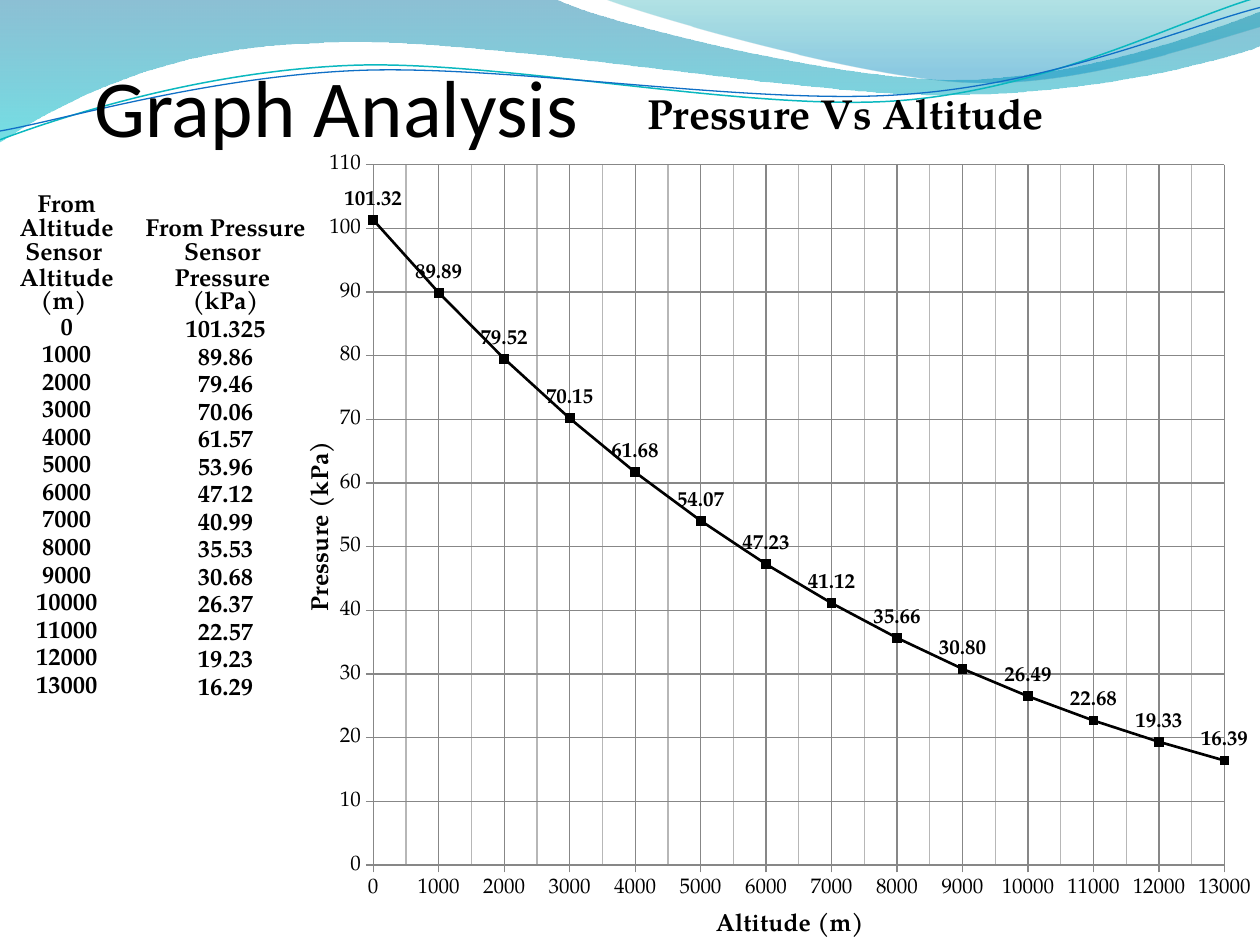
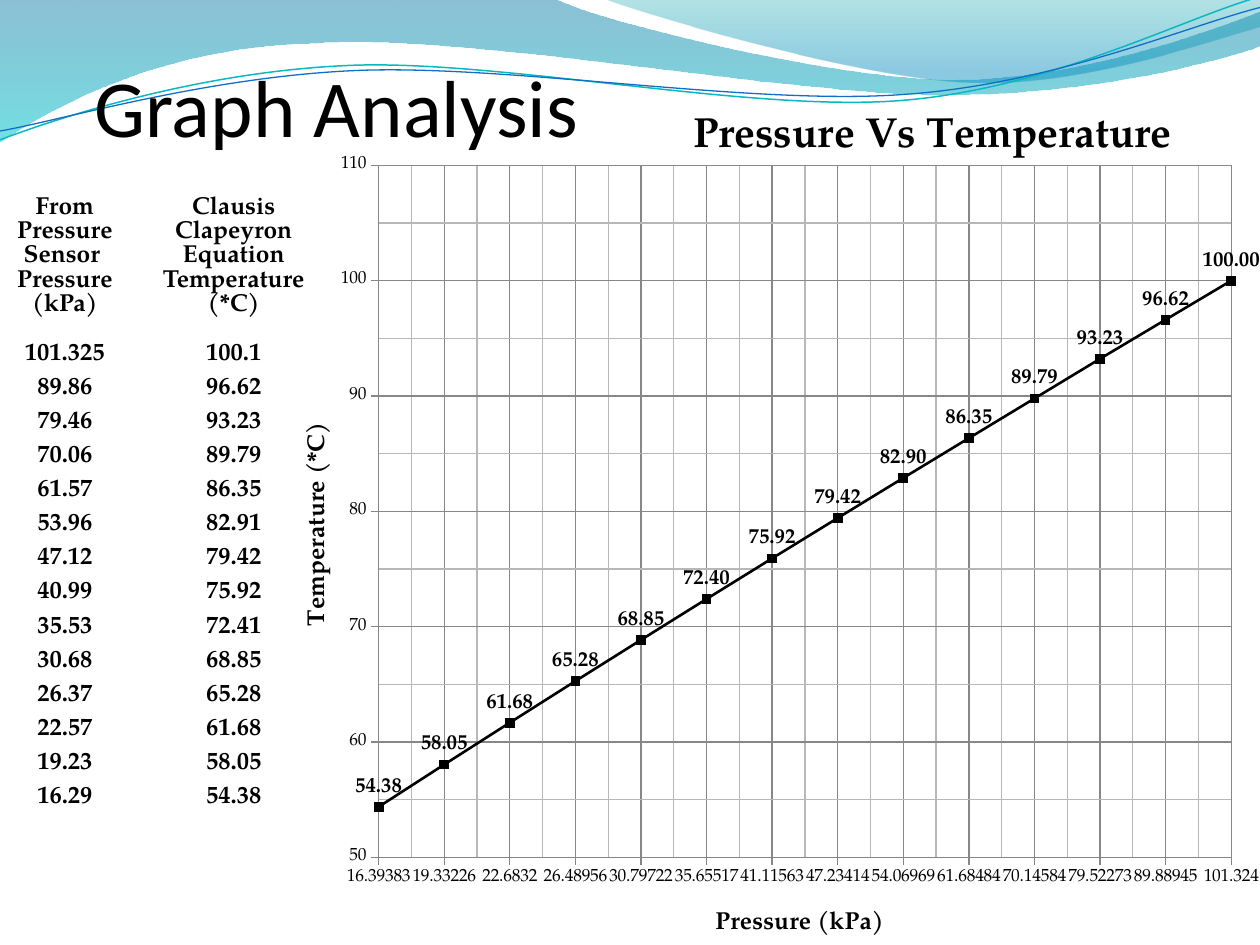
from dataclasses import dataclass
from math import cos, radians, sin

from lxml import etree
from pptx import Presentation
from pptx.chart.data import CategoryChartData
from pptx.dml.color import RGBColor
from pptx.enum.chart import XL_CHART_TYPE, XL_LABEL_POSITION, XL_MARKER_STYLE, XL_TICK_MARK
from pptx.enum.text import MSO_ANCHOR, PP_ALIGN
from pptx.oxml import parse_xml
from pptx.oxml.ns import nsdecls, qn
from pptx.util import Inches, Pt

LINE_MARKERS = XL_CHART_TYPE.LINE_MARKERS
ABOVE = XL_LABEL_POSITION.ABOVE
SQUARE = XL_MARKER_STYLE.SQUARE
OUTSIDE = XL_TICK_MARK.OUTSIDE
TOP, BOTTOM = MSO_ANCHOR.TOP, MSO_ANCHOR.BOTTOM
CENTER = PP_ALIGN.CENTER


@dataclass(frozen=True)
class Theme:
    ink: RGBColor = RGBColor(0, 0, 0)
    title_font: str = "Calibri"
    body_font: str = "TeX Gyre Pagella"
    title: float = 46.2
    chart_title: float = 24
    body: float = 14
    label: float = 12
    small: float = 10


theme = Theme()

# Each wave is a start point and its segments: 2 numbers for a line, 6 for a Bézier curve.
# Gradient stops are (position, colour, opacity in percent).
BANDS = [
    ((0, 0),
     [(4.4, -0.01), (4.76, 0.17, 6.64, 0.63, 7.58, 0.63), (8.53, 0.63, 9.58, 0.26, 10, 0.09),
      (10.01, 0.36), (9.83, 0.44, 8.7, 0.76, 7.46, 0.75), (6.22, 0.75, 3.82, 0.28, 2.57, 0.34),
      (1.29, 0.36, 0.46, 0.83, -0.01, 1.13), (0, 0)],
     [(0, "0074A1", 45), (1, "00C6CF", 55)]),
    ((4.79, -0.01),
     [(5.09, 0.11, 6.82, 0.62, 7.69, 0.65), (8.56, 0.69, 9.61, 0.32, 10, 0.21), (10, 0),
      (4.79, -0.01)],
     [(0, "00A1A9", 30), (0.8, "008BBF", 45)]),
]
WAVE_LINES = [
    ((0, 1.11),
     [(0.48, 0.93, 1.58, 0.57, 2.77, 0.52), (3.95, 0.47, 5.93, 0.89, 7.13, 0.8),
      (8.33, 0.71, 9.38, 0.15, 9.98, -0.02)], "0AB8BF", 0.85),
    ((0, 1.04),
     [(0.47, 0.96, 1.64, 0.61, 2.83, 0.56), (4.03, 0.51, 5.97, 0.84, 7.17, 0.75),
      (8.36, 0.67, 9.41, 0.21, 10, 0.06)], "0F6FC6", 0.75),
]
WAVE_TILT = 2.7
WAVE_CENTER = (5, 0.58)

PRESSURES = ["101.325", "89.86", "79.46", "70.06", "61.57", "53.96", "47.12",
             "40.99", "35.53", "30.68", "26.37", "22.57", "19.23", "16.29"]
ALTITUDES = [1000 * i for i in range(14)]
TEMPERATURES = ["100.1", "96.62", "93.23", "89.79", "86.35", "82.91", "79.42",
                "75.92", "72.41", "68.85", "65.28", "61.68", "58.05", "54.38"]

SLIDES = [
    dict(
        chart_title="Pressure Vs Altitude", chart_box=(2.4, 0.68, 7.6, 6.82),
        title_at=(0.352, 0.001), y_title_at=None, plot_at=(0.074, 0.092, 0.889, 0.815),
        x_title="Altitude (m)", y_title="Pressure (kPa)", y_min=0, y_minor_grid=False,
        tick_size=theme.label, categories=ALTITUDES,
        values=[101.32, 89.89, 79.52, 70.15, 61.68, 54.07, 47.23,
                41.12, 35.66, 30.8, 26.49, 22.68, 19.33, 16.39],
        table_at=(0, 1.39), col_widths=(1.06, 1.46), head_heights=(0.73, 0.23),
        body_height=3.06, anchors=(TOP, BOTTOM),
        heads=[("From Altitude\nSensor ", "From Pressure Sensor "),
               ("Altitude (m) ", "Pressure \n(kPa)")],
        columns=(ALTITUDES, PRESSURES)),
    dict(
        chart_title="Pressure Vs Temperature", chart_box=(2.32, 0.76, 7.68, 6.74),
        title_at=(0.41, 0.01), y_title_at=(0.007, 0.377), plot_at=(0.09, 0.082, 0.889, 0.815),
        x_title="Pressure (kPa)", y_title="Temperature (*C)", y_min=50, y_minor_grid=True,
        tick_size=theme.small,
        categories=[16.39383, 19.33226, 22.6832, 26.48956, 30.79722, 35.65517, 41.11563,
                    47.23414, 54.06969, 61.68484, 70.14584, 79.52273, 89.88945, 101.324],
        values=[54.38, 58.05, 61.68, 65.28, 68.85, 72.4, 75.92,
                79.42, 82.9, 86.35, 89.79, 93.23, 96.62, 100],
        table_at=(0, 1.23), col_widths=(1.03, 1.65), head_heights=(0.9, 0.51),
        body_height=3.79, anchors=(BOTTOM, BOTTOM),
        heads=[("From Pressure Sensor ", "Clausis Clapeyron Equation"),
               ("Pressure (kPa)", "Temperature\n(*C)")],
        columns=(PRESSURES, TEMPERATURES)),
]


def add_wave(shapes, start, segments, close, tilt=0):
    """Draw an outline given in slide inches, as a shape turned back by tilt degrees."""
    numbers = [*start, *(n for seg in segments for n in seg)]
    cx, cy = WAVE_CENTER
    c, sn = cos(radians(tilt)), sin(radians(tilt))
    points = [(Inches(cx + (x - cx) * c - (y - cy) * sn), Inches(cy + (x - cx) * sn + (y - cy) * c))
              for x, y in zip(numbers[::2], numbers[1::2])]
    builder = shapes.build_freeform(*points[0])
    builder.add_line_segments(points[1:], close=close)
    s = builder.convert_to_shape()
    s.shadow.inherit = False
    s.rotation = -tilt % 360
    steps = iter(list(s._element.iter(qn("a:lnTo"))))
    for seg in segments:
        group = [next(steps) for _ in range(len(seg) // 2)]
        if len(group) == 3:
            curve = etree.Element(qn("a:cubicBezTo"))
            group[0].addprevious(curve)
            for step in group:
                curve.append(step[0])
                step.getparent().remove(step)
    return s


def set_layout(parent, index, inner=False, **place):
    """Pin a chart part at fractions x, y (and w, h) of the chart."""
    for old in parent.findall(qn("c:layout")):
        parent.remove(old)
    layout = parse_xml(f"<c:layout {nsdecls('c')}><c:manualLayout/></c:layout>")
    manual = layout[0]
    settings = [("layoutTarget", "inner")] if inner else []
    settings += [("xMode", "edge"), ("yMode", "edge"), *place.items()]
    for tag, value in settings:
        etree.SubElement(manual, qn(f"c:{tag}")).set("val", str(value))
    parent.insert(index, layout)


prs = Presentation()
prs.slide_width, prs.slide_height = Inches(10), Inches(7.5)

for data in SLIDES:
    shapes = prs.slides.add_slide(prs.slide_layouts[6]).shapes

    # Wave header
    for start, segments, stops in BANDS:
        s = add_wave(shapes, start, segments, True)
        s.line.fill.background()
        s.fill.gradient()
        s.fill.gradient_angle = 270
        for stop, (position, color, opacity) in zip(s.fill.gradient_stops, stops):
            stop.position = position
            stop.color.rgb = RGBColor.from_string(color)
        for clr, (_, _, opacity) in zip(s._element.spPr.iter(qn("a:srgbClr")), stops):
            etree.SubElement(clr, qn("a:alpha")).set("val", str(opacity * 1000))
    for start, segments, color, width in WAVE_LINES:
        s = add_wave(shapes, start, segments, False, WAVE_TILT)
        s.fill.background()
        s.line.color.rgb = RGBColor.from_string(color)
        s.line.width = Pt(width)

    # Chart
    chart_data = CategoryChartData()
    chart_data.categories = data["categories"]
    chart_data.add_series("Series 1", data["values"])
    chart = shapes.add_chart(LINE_MARKERS, *map(Inches, data["chart_box"]), chart_data).chart
    chart.has_legend = False
    chart.font.name = theme.body_font
    chart.font.size = Pt(theme.small)
    chart.font.color.rgb = theme.ink

    chart.has_title = True
    x_axis, y_axis = chart.category_axis, chart.value_axis
    for owner, text, size in ((chart.chart_title, data["chart_title"], theme.chart_title),
                              (x_axis.axis_title, data["x_title"], theme.body),
                              (y_axis.axis_title, data["y_title"], theme.body)):
        owner.text_frame.text = text
        font = owner.text_frame.paragraphs[0].runs[0].font
        font.name, font.size, font.bold = theme.body_font, Pt(size), True
        font.color.rgb = theme.ink
    title = chart.chart_title._element
    title.find(qn("c:overlay")).set("val", "1")
    set_layout(title, 1, **dict(zip("xy", data["title_at"])))
    if data["y_title_at"]:
        set_layout(y_axis.axis_title._element, 1, **dict(zip("xy", data["y_title_at"])))

    for axis, minor_grid in ((x_axis, True), (y_axis, data["y_minor_grid"])):
        axis.major_tick_mark = OUTSIDE
        axis.has_major_gridlines = True
        axis.has_minor_gridlines = minor_grid
        axis.tick_labels.font.size = Pt(data["tick_size"])
        axis.tick_labels.font.name = theme.body_font
        axis.tick_labels.font.color.rgb = theme.ink
    y_axis.minimum_scale, y_axis.maximum_scale = data["y_min"], 110
    y_axis.major_unit, y_axis.minor_unit = 10, 5
    val_ax = y_axis._element
    for old in val_ax.findall(qn("c:crossBetween")):
        val_ax.remove(old)
    val_ax.find(qn("c:crosses")).addnext(
        parse_xml(f'<c:crossBetween {nsdecls("c")} val="midCat"/>'))

    plot = chart.plots[0]
    plot.vary_by_categories = False
    series = plot.series[0]
    series.smooth = False
    series.format.line.color.rgb = theme.ink
    series.format.line.width = Pt(1.5)
    series.marker.style, series.marker.size = SQUARE, 5
    series.marker.format.fill.solid()
    series.marker.format.fill.fore_color.rgb = theme.ink
    series.marker.format.line.color.rgb = theme.ink
    labels = series.data_labels
    labels.show_value, labels.position = True, ABOVE
    labels.number_format, labels.number_format_is_linked = "#,##0.00", False
    labels.font.name, labels.font.size, labels.font.bold = theme.body_font, Pt(theme.label), True
    labels.font.color.rgb = theme.ink

    chart_part = chart._chartSpace.find(qn("c:chart"))
    plot_area = chart_part.find(qn("c:plotArea"))
    set_layout(plot_area, 0, inner=True, **dict(zip("xywh", data["plot_at"])))
    no_fill = (f'<c:spPr {nsdecls("c", "a")}><a:noFill/>'
               '<a:ln><a:noFill/></a:ln></c:spPr>')
    plot_area.append(parse_xml(no_fill))
    chart_part.addnext(parse_xml(no_fill))

    # Readings table
    rows = data["heads"] + list(zip(*data["columns"]))
    row_height = data["body_height"] / len(PRESSURES)
    heights = [*data["head_heights"]] + [row_height] * len(PRESSURES)
    table = shapes.add_table(len(rows), 2, *map(Inches, data["table_at"]),
                             Inches(sum(data["col_widths"])), Inches(sum(heights))).table
    table.first_row = table.horz_banding = False
    for column, width in zip(table.columns, data["col_widths"]):
        column.width = Inches(width)
    for i, (row, height) in enumerate(zip(rows, heights)):
        table.rows[i].height = Inches(height)
        anchors = [(BOTTOM, BOTTOM), (TOP, TOP)][i] if i < 2 else data["anchors"]
        for j, text in enumerate(row):
            cell = table.cell(i, j)
            cell.fill.background()
            cell.vertical_anchor = anchors[j]
            cell.margin_left = cell.margin_right = cell.margin_top = Inches(0.01)
            cell.margin_bottom = 0
            cell.text_frame.text = str(text)
            for p in cell.text_frame.paragraphs:
                p.alignment = CENTER
                font = p.runs[0].font
                font.name, font.size, font.bold = theme.body_font, Pt(theme.body), True
                font.color.rgb = theme.ink
            for side in ("a:lnB", "a:lnT", "a:lnR", "a:lnL"):
                cell._tc.tcPr.insert(0, parse_xml(
                    f'<{side} {nsdecls("a")} w="0"><a:noFill/></{side}>'))

    # Slide title
    tf = shapes.add_textbox(Inches(0.75), Inches(0.49), Inches(8.59), Inches(0.74)).text_frame
    tf.word_wrap = True
    tf.vertical_anchor = BOTTOM
    tf.margin_left = tf.margin_right = tf.margin_bottom = 0
    tf.text = "Graph Analysis"
    p = tf.paragraphs[0]
    p.line_spacing = 0.9
    font = p.runs[0].font
    font.name, font.size = theme.title_font, Pt(theme.title)
    font.color.rgb = theme.ink

prs.save("out.pptx")
